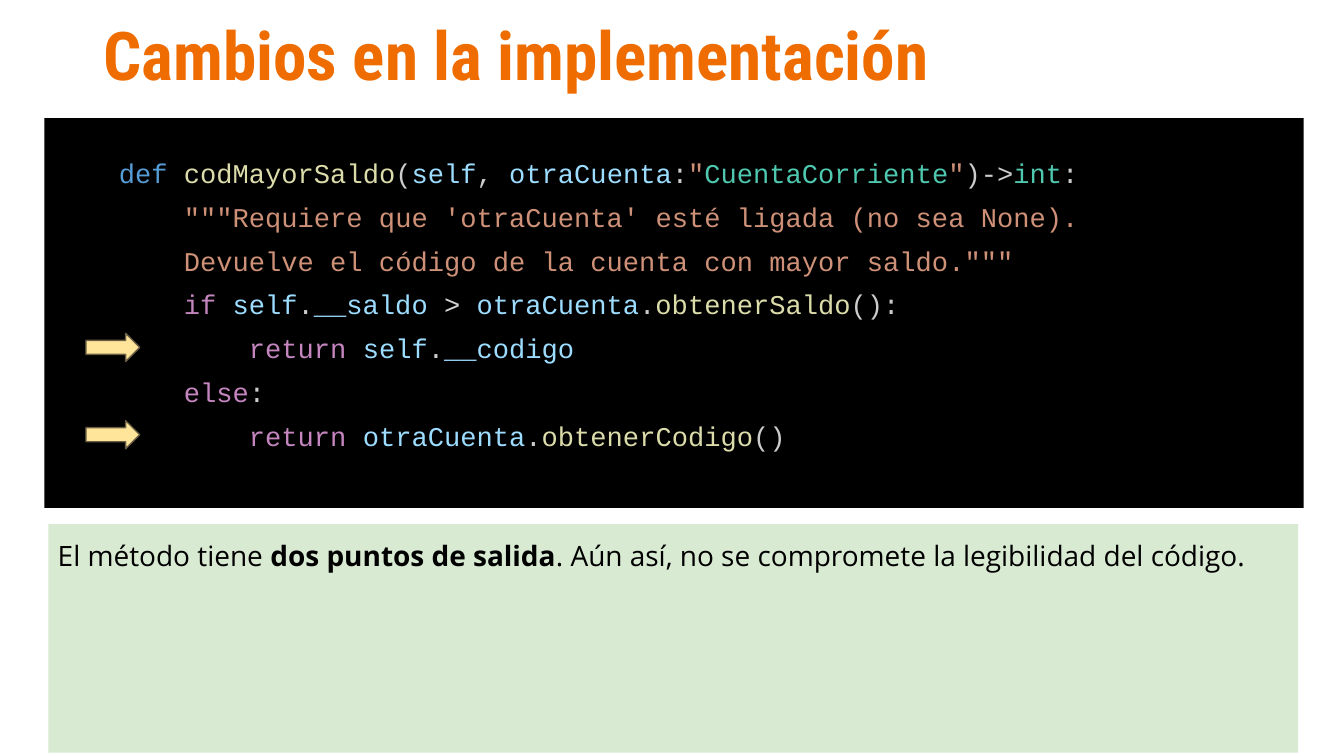
from dataclasses import dataclass

from pptx import Presentation
from pptx.dml.color import RGBColor
from pptx.enum.shapes import MSO_SHAPE
from pptx.enum.text import MSO_ANCHOR, MSO_AUTO_SIZE, PP_ALIGN
from pptx.slide import Slide
from pptx.util import Inches, Pt

COLORS = {
    "title": "EF6C00", "code": "000000", "note": "D9EAD3", "text": "000000",
    "arrow": "FFE599", "arrow line": "695D46",
    "plain": "CCCCCC", "def": "569CD6", "function": "DCDCAA",
    "variable": "9CDCFE", "string": "CE9178", "type": "4EC9B0",
    "keyword": "C586C0", "operator": "D4D4D4",
}

# Each code line: indent level, then (text, kind of token)
CODE = [
    (1, [("def ", "def"), ("codMayorSaldo", "function"), ("(", "plain"),
         ("self", "variable"), (", ", "plain"), ("otraCuenta", "variable"),
         (":", "plain"), ('"', "string"), ("CuentaCorriente", "type"),
         ('"', "string"), (")->", "plain"), ("int", "type"), (":", "plain")]),
    (2, [('"""Requiere que \'otraCuenta\' esté ligada (no sea None).', "string")]),
    (2, [('Devuelve el código de la cuenta con mayor saldo."""', "string")]),
    (2, [("if ", "keyword"), ("self", "variable"), (".", "plain"),
         ("__saldo ", "variable"), ("> ", "operator"),
         ("otraCuenta", "variable"), (".", "plain"),
         ("obtenerSaldo", "function"), ("():", "plain")]),
    (3, [("return ", "keyword"), ("self", "variable"), (".", "plain"),
         ("__codigo", "variable")]),
    (2, [("else", "keyword"), (":", "plain")]),
    (3, [("return ", "keyword"), ("otraCuenta", "variable"), (".", "plain"),
         ("obtenerCodigo", "function"), ("()", "plain")]),
]

NOTE = [("El método tiene ", False), ("dos puntos de salida", True),
        (". Aún así, no se compromete la legibilidad del código.", False)]


def color(name):
    return RGBColor.from_string(COLORS[name])


@dataclass
class PageBuilder:
    page: Slide
    title_font: str = "Roboto Condensed"
    text_font: str = "Open Sans"
    code_font: str = "Courier New"

    def place(self, shape, left, top, width, height):
        shape.left, shape.top = Inches(left), Inches(top)
        shape.width, shape.height = Inches(width), Inches(height)

    def frame(self, shape, top_inset, anchor=MSO_ANCHOR.TOP):
        frame = shape.text_frame
        frame.word_wrap = True
        frame.auto_size = MSO_AUTO_SIZE.NONE
        frame.vertical_anchor = anchor
        frame.margin_left = frame.margin_right = Inches(0.07)
        frame.margin_top, frame.margin_bottom = Inches(top_inset), Inches(0.04)
        return frame

    def format(self, para, font, size, spacing):
        para.alignment = PP_ALIGN.LEFT
        para.line_spacing = spacing
        para.font.name, para.font.size = font, Pt(size)

    def title(self, text, *bounds):
        title = self.page.shapes.title
        self.place(title, *bounds)
        para = self.frame(title, 0.04, MSO_ANCHOR.MIDDLE).paragraphs[0]
        para.text = text
        self.format(para, self.title_font, 36, 0.9)
        para.font.bold = True
        para.font.color.rgb = color("title")

    def shape(self, kind, fill, *bounds):
        shape = self.page.shapes.add_shape(kind, 0, 0, 0, 0)
        self.place(shape, *bounds)
        shape.shadow.inherit = False
        shape.fill.solid()
        shape.fill.fore_color.rgb = color(fill)
        shape.line.fill.background()
        return shape

    def code(self, lines, *bounds):
        box = self.shape(MSO_SHAPE.RECTANGLE, "code", *bounds)
        frame = self.frame(box, 0.2)
        for number, (level, tokens) in enumerate(lines):
            para = frame.add_paragraph() if number else frame.paragraphs[0]
            self.format(para, self.code_font, 14.5, 1.35)
            for text, kind in [("    " * level, "plain")] + tokens:
                span = para.add_run()
                span.text = text
                span.font.color.rgb = color(kind)

    def note(self, parts, *bounds):
        box = self.shape(MSO_SHAPE.RECTANGLE, "note", *bounds)
        para = self.frame(box, 0.07).paragraphs[0]
        self.format(para, self.text_font, 15, 1.15)
        para.font.color.rgb = color("text")
        for text, bold in parts:
            span = para.add_run()
            span.text = text
            span.font.bold = bold

    def arrow(self, *bounds):
        arrow = self.shape(MSO_SHAPE.RIGHT_ARROW, "arrow", *bounds)
        arrow.line.color.rgb = color("arrow line")
        arrow.line.width = Pt(0.75)


def main():
    # Widescreen page, 16 by 9
    deck = Presentation()
    deck.slide_width = Inches(10)
    deck.slide_height = deck.slide_width * 9 // 16
    builder = PageBuilder(deck.slides.add_slide(deck.slide_layouts[5]))

    # Title, code and explanation
    builder.title("Cambios en la implementación", 0.7, 0, 8.62, 0.88)
    builder.code(CODE, 0.33, 0.88, 9.37, 2.9)
    builder.note(NOTE, 0.36, 3.9, 9.3, 1.7)

    # Arrows to the two return lines
    for top in (2.48, 3.13):
        builder.arrow(0.64, top, 0.4, 0.21)

    deck.save("out.pptx")


if __name__ == "__main__":
    main()
